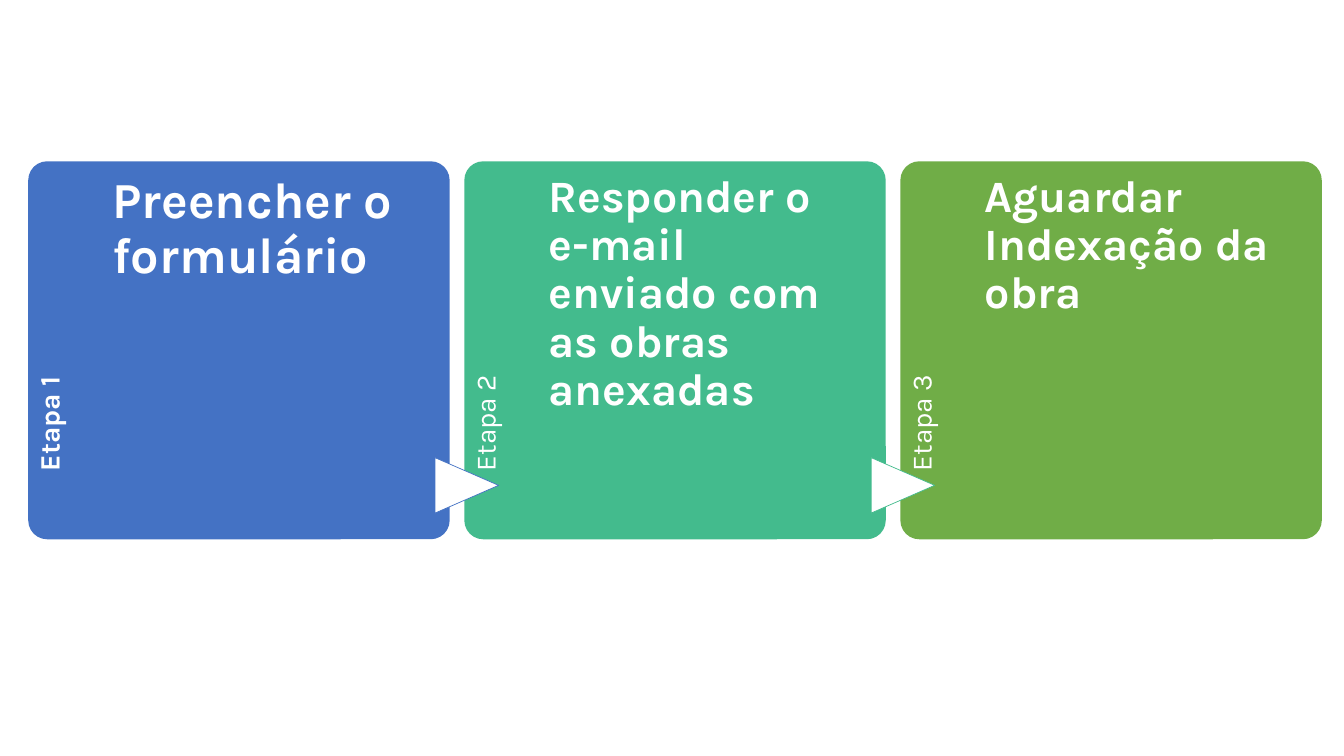
from collections import namedtuple
from dataclasses import dataclass

import pptx
import pptx.dml.color
import pptx.enum.shapes
import pptx.enum.text
import pptx.util

Box = namedtuple("Box", "left top width height")
Stage = namedtuple("Stage", "label heading color size inset label_bold")


@dataclass(frozen=True)
class Theme:
    """Colours, typeface and type sizes of the slide."""
    font: str = "Karla"
    white: str = "FFFFFF"
    blue: str = "4472C4"
    teal: str = "43BB8D"
    green: str = "70AD47"
    label: int = 20
    heading: int = 32
    heading_large: int = 36


THEME = Theme()
PAGE_WIDTH, PAGE_HEIGHT = 13.33, 7.5
FIRST_CARD = Box(0.28, 1.6, 4.18, 3.75)
CARD_PITCH = 4.325
STAGES = [
    Stage("Etapa 1", "Preencher o formulário", THEME.blue, THEME.heading_large, 0.14, True),
    Stage("Etapa 2", "Responder o \ve-mail enviado com as obras anexadas", THEME.teal,
          THEME.heading, 0.12, False),
    Stage("Etapa 3", "Aguardar Indexação da obra", THEME.green, THEME.heading, 0.12, False),
]


def rgb(color):
    """Turn a hex string into a colour."""
    return pptx.dml.color.RGBColor.from_string(color)


def inches(box):
    """Turn a box into four lengths."""
    return [pptx.util.Inches(length) for length in box]


def add_block(page, kind, box, fill, line=None, rotation=0):
    """Draw a flat preset shape with an optional thin outline."""
    block = page.shapes.add_shape(kind, *inches(box))
    block.shadow.inherit = False
    block.rotation = rotation
    block.fill.solid()
    block.fill.fore_color.rgb = rgb(fill)
    if line:
        block.line.color.rgb = rgb(line)
        block.line.width = pptx.util.Pt(0.5)
    else:
        block.line.fill.background()
    return block


def add_text(page, box, text, size, bold=False, top=0, right=0, rotation=0):
    """Place white wrapped text in a box."""
    holder = page.shapes.add_textbox(*inches(box))
    holder.rotation = rotation
    frame = holder.text_frame
    frame.word_wrap = True
    frame.vertical_anchor = pptx.enum.text.MSO_ANCHOR.TOP
    frame.margin_left = frame.margin_bottom = 0
    frame.margin_top = pptx.util.Inches(top)
    frame.margin_right = pptx.util.Inches(right)
    para = frame.paragraphs[0]
    para.text = text
    para.line_spacing = 0.9
    for span in para.runs:
        span.font.name = THEME.font
        span.font.size = pptx.util.Pt(size)
        span.font.bold = bold
        span.font.color.rgb = rgb(THEME.white)


def add_stage(page, box, stage, previous=None):
    """Draw one stage card with its side label, incoming arrow and heading."""
    shapes = pptx.enum.shapes.MSO_SHAPE
    card = add_block(page, shapes.ROUNDED_RECTANGLE, box, stage.color)
    card.adjustments[0] = 0.05

    strip, length = box.width * 0.2, box.height * 0.82
    shift = (length - strip) / 2
    label_box = Box(box.left - shift, box.top + shift, length, strip)
    add_text(page, label_box, stage.label, THEME.label, stage.label_bold,
             top=0.07, right=0.1, rotation=270)

    if previous:
        arrow_box = Box(box.left - 0.25, box.top + 2.9, 0.55, 0.63)
        add_block(page, shapes.FLOWCHART_EXTRACT, arrow_box, THEME.white,
                  line=previous.color, rotation=90)

    heading_box = Box(box.left + strip, box.top, box.width * 0.745, box.height)
    add_text(page, heading_box, stage.heading, stage.size, True, top=stage.inset)


def main():
    """Build the three-stage slide and save it."""
    deck = pptx.Presentation()
    deck.slide_width = pptx.util.Inches(PAGE_WIDTH)
    deck.slide_height = pptx.util.Inches(PAGE_HEIGHT)
    page = deck.slides.add_slide(deck.slide_layouts.get_by_name("Blank"))
    for column, (stage, previous) in enumerate(zip(STAGES, [None] + STAGES)):
        left = FIRST_CARD.left + column * CARD_PITCH
        add_stage(page, FIRST_CARD._replace(left=left), stage, previous)
    deck.save("out.pptx")


if __name__ == "__main__":
    main()
